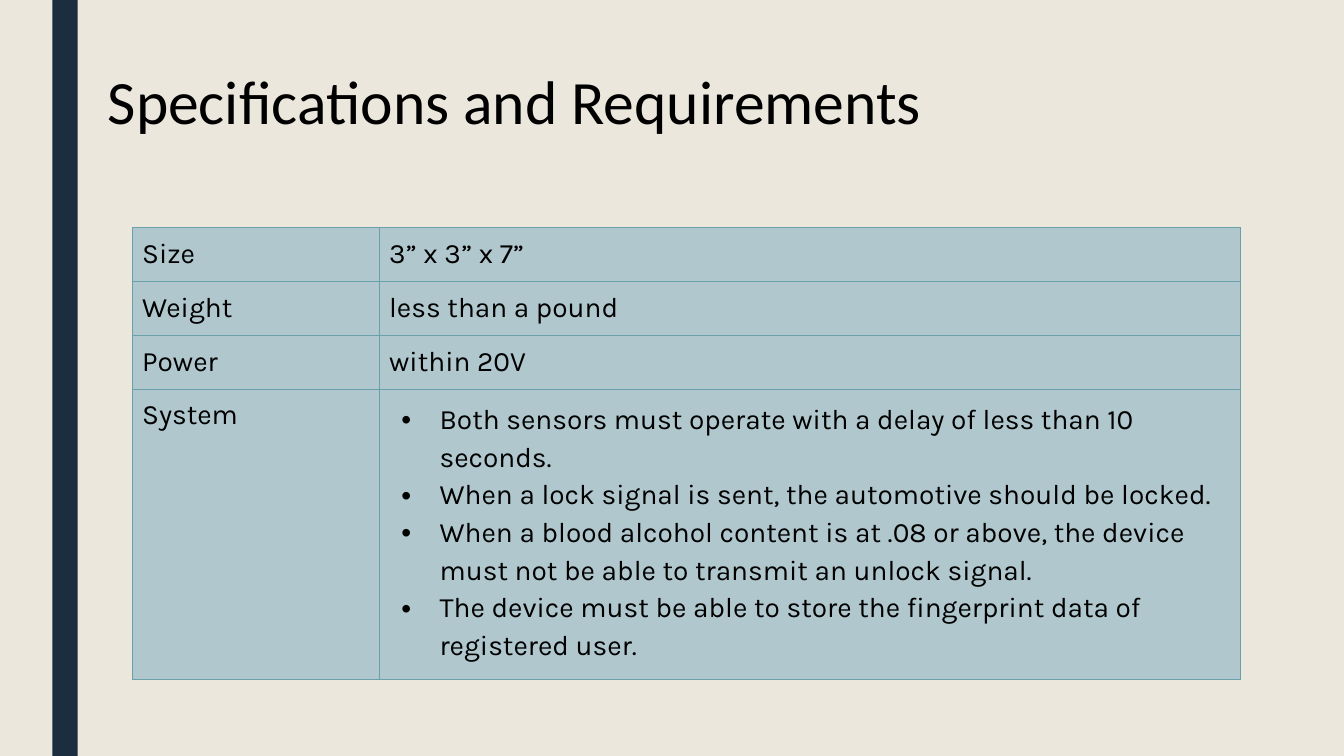
from dataclasses import dataclass

from pptx import Presentation
from pptx.dml.color import RGBColor as Rgb
from pptx.enum.shapes import MSO_SHAPE as Shape
from pptx.enum.text import MSO_ANCHOR as Anchor
from pptx.oxml import parse_xml
from pptx.oxml.ns import nsdecls
from pptx.util import Inches, Pt

WIDE, HIGH = 13.33, 7.5
SAND, NAVY, TEAL, EDGE, INK = "EBE7DD", "1A2E40", "AFC7CD", "69A1AB", "000000"


@dataclass(frozen=True)
class Box:
    left: float
    top: float
    width: float
    height: float

    def place(self) -> tuple[int, int, int, int]:
        return col(self.left), row(self.top), col(self.width), row(self.height)


@dataclass(frozen=True)
class Entry:
    label: str
    lines: tuple[str, ...]
    height: float = 6.4


STRIPE = Box(3.9, 0, 1.88, 100)
TITLE = Box(7.28, 3.07, 78.77, 21.6)
GRID_LEFT, GRID_TOP = 9.83, 30.13
COLUMNS = (18.38, 64.07)
ENTRIES = (
    Entry("Size", ("3” x 3” x 7”",)),
    Entry("Weight", ("less than a pound",)),
    Entry("Power", ("within 20V",)),
    Entry("System", (
        "Both sensors must operate with a delay of less than 10 seconds.",
        "When a lock signal is sent, the automotive should be locked.",
        "When a blood alcohol content is at .08 or above, the device must not be able "
        "to transmit an unlock signal.",
        "The device must be able to store the fingerprint data of registered user.",
    ), 24.13),
)


def col(share: float) -> int:
    return Inches(WIDE * share / 100)


def row(share: float) -> int:
    return Inches(HIGH * share / 100)


def paint(fill, tone: str) -> None:
    fill.solid()
    fill.fore_color.rgb = Rgb.from_string(tone)


def style(frame, face: str, size: float) -> None:
    for para in frame.paragraphs:
        for run in para.runs:
            run.font.name = face
            run.font.size = Pt(size)
            paint(run.font.fill, INK)


def bullet(para) -> None:
    props = para._p.get_or_add_pPr()
    props.set("marL", str(col(3.75)))
    props.set("indent", str(-col(2.85)))
    space = nsdecls("a")
    props.append(parse_xml(f'<a:buClr {space}><a:srgbClr val="{INK}"/></a:buClr>'))
    props.append(parse_xml(f'<a:buFont {space} typeface="Arial"/>'))
    props.append(parse_xml(f'<a:buChar {space} char="•"/>'))
    para.line_spacing = 1.15


def outline(cell) -> None:
    props = cell._tc.get_or_add_tcPr()
    for side in "LRTB":
        props.append(parse_xml(
            f'<a:ln{side} {nsdecls("a")} w="{Pt(0.5)}"><a:solidFill>'
            f'<a:srgbClr val="{EDGE}"/></a:solidFill></a:ln{side}>'))


def fill_cell(cell, lines: tuple[str, ...]) -> None:
    cell.margin_left = cell.margin_right = col(0.75)
    cell.margin_top = cell.margin_bottom = row(1.33)
    outline(cell)
    paint(cell.fill, TEAL)
    frame = cell.text_frame
    frame.text = "\n".join(lines)
    if len(lines) > 1:
        for para in frame.paragraphs:
            bullet(para)
    style(frame, "Karla", 20)


def draw_stripe(slide) -> None:
    stripe = slide.shapes.add_shape(Shape.RECTANGLE, *STRIPE.place())
    stripe.shadow.inherit = False
    paint(stripe.fill, NAVY)
    stripe.line.fill.background()


def draw_title(slide) -> None:
    frame = slide.shapes.add_textbox(*TITLE.place()).text_frame
    frame.word_wrap = True
    frame.vertical_anchor = Anchor.MIDDLE
    frame.text = "Specifications and Requirements"
    frame.paragraphs[0].line_spacing = 0.9
    style(frame, "Calibri", 44)


def draw_table(slide) -> None:
    area = Box(GRID_LEFT, GRID_TOP, sum(COLUMNS), sum(e.height for e in ENTRIES))
    table = slide.shapes.add_table(len(ENTRIES), len(COLUMNS), *area.place()).table
    table.first_row = table.horz_banding = False
    for column, width in zip(table.columns, COLUMNS):
        column.width = col(width)
    for line, entry in zip(table.rows, ENTRIES):
        line.height = row(entry.height)
        for cell, lines in zip(line.cells, ((entry.label,), entry.lines)):
            fill_cell(cell, lines)


def main() -> None:
    deck = Presentation()
    deck.slide_width, deck.slide_height = col(100), row(100)
    slide = deck.slides.add_slide(deck.slide_layouts[6])
    paint(slide.background.fill, SAND)
    draw_stripe(slide)
    draw_title(slide)
    draw_table(slide)
    deck.save("out.pptx")


if __name__ == "__main__":
    main()
